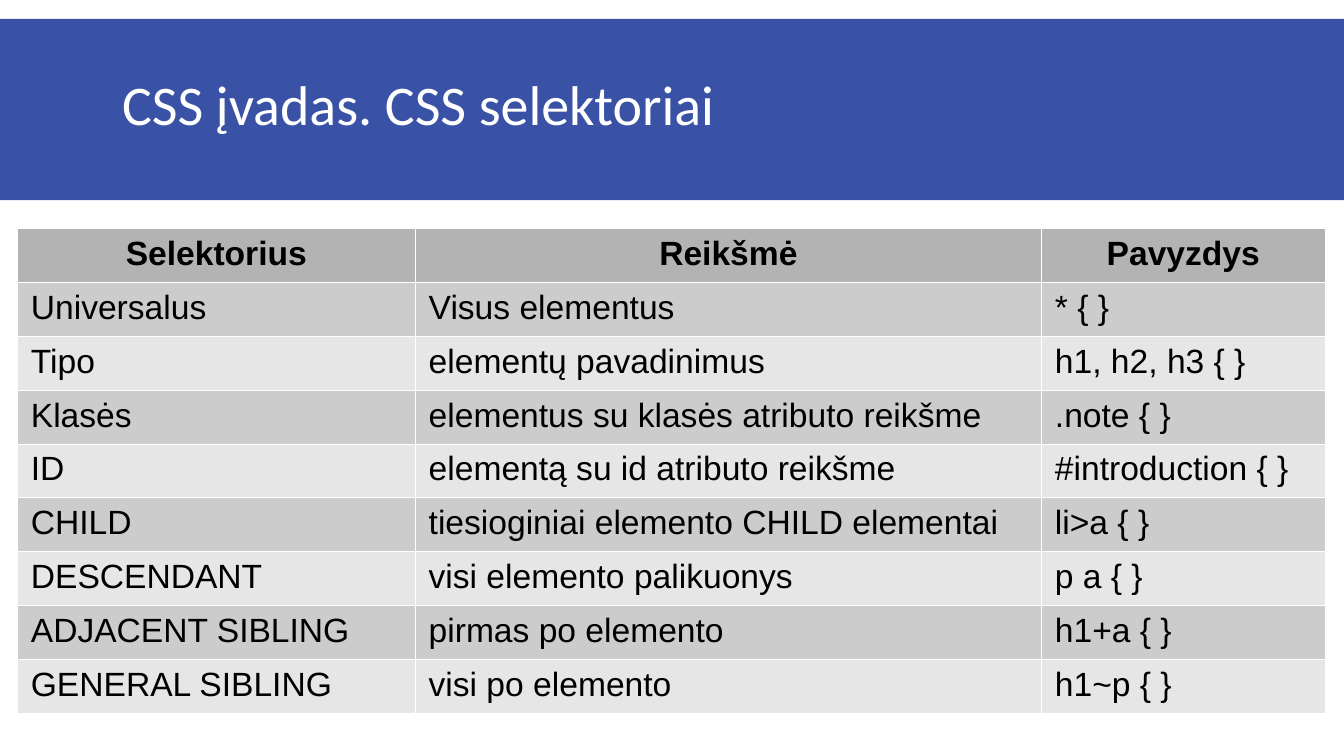
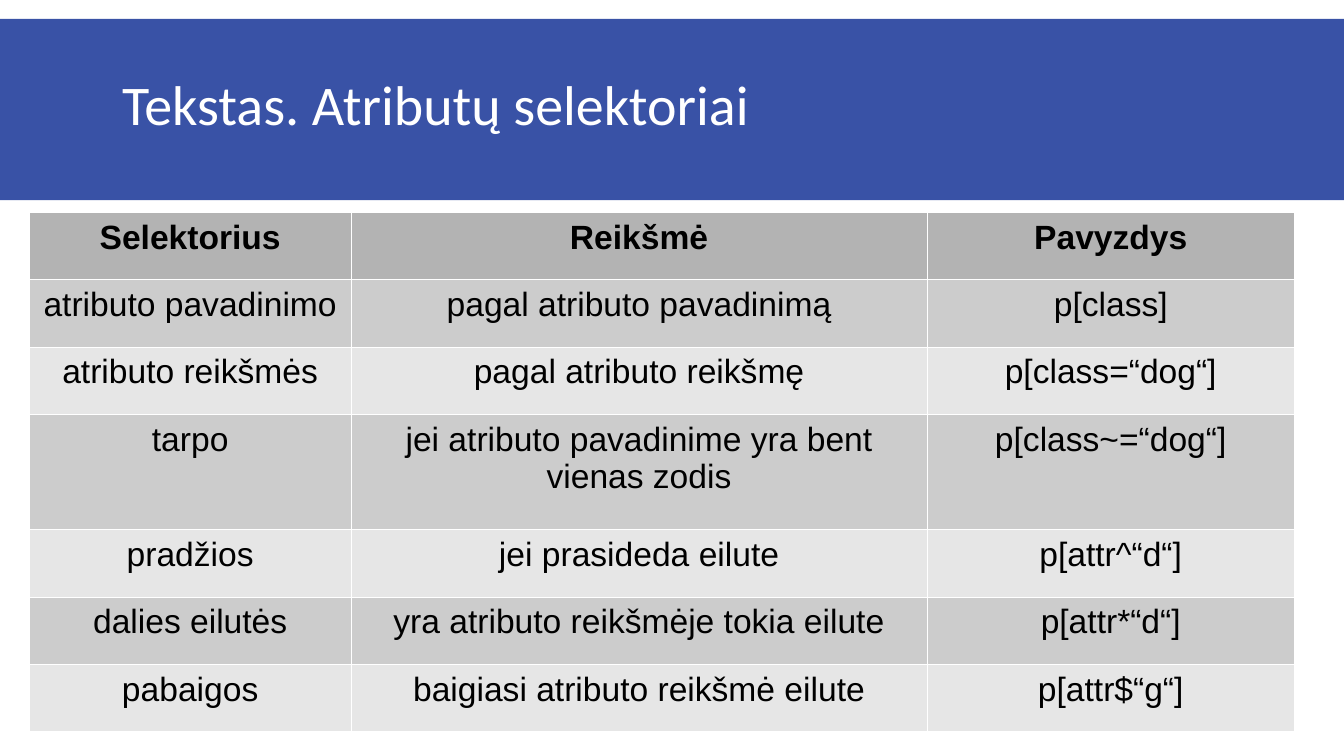
"""Build two slides of CSS selector tables under a shared title band."""
from dataclasses import dataclass

from lxml import etree
from pptx import Presentation
from pptx.dml.color import RGBColor
from pptx.enum.shapes import MSO_SHAPE
from pptx.enum.text import MSO_ANCHOR, PP_ALIGN
from pptx.oxml.ns import qn
from pptx.util import Inches, Pt

RECTANGLE = MSO_SHAPE.RECTANGLE
TOP, MIDDLE = MSO_ANCHOR.TOP, MSO_ANCHOR.MIDDLE
LEFT, CENTER = PP_ALIGN.LEFT, PP_ALIGN.CENTER


@dataclass(frozen=True)
class Theme:
    band: str = "3952A6"
    white: str = "FFFFFF"
    ink: str = "000000"
    header: str = "B3B3B3"
    stripes: tuple = ("CCCCCC", "E6E6E6")
    title_font: str = "Calibri"
    table_font: str = "Arial"
    title_size: int = 30
    table_size: int = 18
    border: float = 0.06


theme = Theme()
deck = Presentation()
deck.slide_width, deck.slide_height = Inches(10), Inches(5.625)
UNIT = deck.slide_width / 100

HEADINGS = ("Selektorius", "Reikšmė", "Pavyzdys")
TOPICS = [
    {
        "title": "CSS įvadas. CSS selektoriai",
        "corner": (1.3, 17),
        "columns": (29.6, 46.6, 21.1),
        "rows": [3.81] * 9,
        "align": LEFT,
        "selectors": [
            ("Universalus", "Visus elementus", "* { }"),
            ("Tipo", "elementų pavadinimus", "h1, h2, h3 { }"),
            ("Klasės", "elementus su klasės atributo reikšme", ".note { }"),
            ("ID", "elementą su id atributo reikšme", "#introduction { }"),
            ("CHILD", "tiesioginiai elemento CHILD elementai", "li>a { }"),
            ("DESCENDANT", "visi elemento palikuonys", "p a { }"),
            ("ADJACENT SIBLING", "pirmas po elemento", "h1+a { }"),
            ("GENERAL SIBLING", "visi po elemento", "h1~p { }"),
        ],
    },
    {
        "title": "Tekstas. Atributų selektoriai",
        "corner": (2.2, 15.8),
        "columns": (23.9, 42.9, 27.3),
        "rows": [5] * 3 + [8.6] + [5] * 3,
        "align": CENTER,
        "selectors": [
            ("atributo pavadinimo", "pagal atributo pavadinimą", "p[class]"),
            ("atributo reikšmės", "pagal atributo reikšmę", "p[class=“dog“]"),
            ("tarpo", "jei atributo pavadinime yra bent vienas zodis", "p[class~=“dog“]"),
            ("pradžios", "jei prasideda eilute", "p[attr^“d“]"),
            ("dalies eilutės", "yra atributo reikšmėje tokia eilute", "p[attr*“d“]"),
            ("pabaigos", "baigiasi atributo reikšmė eilute", "p[attr$“g“]"),
        ],
    },
]


def grid(*steps):
    return [round(step * UNIT) for step in steps]


def write(paragraph, words, font, size, color, bold=False):
    run = paragraph.add_run()
    run.text = words
    run.font.name, run.font.size, run.font.bold = font, Pt(size), bold
    run.font.color.rgb = RGBColor.from_string(color)


for topic in TOPICS:
    slide = deck.slides.add_slide(deck.slide_layouts[6])

    band = slide.shapes.add_shape(RECTANGLE, *grid(0, 1.4, 100, 13.5))
    band.shadow.inherit = False
    band.fill.solid()
    band.fill.fore_color.rgb = RGBColor.from_string(theme.band)
    band.line.fill.background()

    title = slide.shapes.add_textbox(*grid(8.1, 4.9, 93.2, 6.3)).text_frame
    title.word_wrap = True
    title.vertical_anchor = MIDDLE
    title.margin_left, title.margin_right, title.margin_top, title.margin_bottom = grid(1, 1, 1, 1)
    title.paragraphs[0].line_spacing = 0.85
    write(title.paragraphs[0], topic["title"], theme.title_font, theme.title_size, theme.white)

    columns, rows = topic["columns"], topic["rows"]
    selectors = slide.shapes.add_table(
        len(rows), len(columns), *grid(*topic["corner"], sum(columns), sum(rows))
    ).table
    selectors.first_row = selectors.horz_banding = False
    for column, width in zip(selectors.columns, grid(*columns)):
        column.width = width
    for row, height in zip(selectors.rows, grid(*rows)):
        row.height = height

    for r, entry in enumerate([HEADINGS, *topic["selectors"]]):
        is_header = r == 0
        shade = theme.header if is_header else theme.stripes[(r - 1) % 2]
        for c, words in enumerate(entry):
            cell = selectors.cell(r, c)
            cell.vertical_anchor = TOP
            cell.margin_left, cell.margin_right, cell.margin_top, cell.margin_bottom = grid(1, 1, 0.5, 0.5)
            properties = cell._tc.get_or_add_tcPr()
            for side in ("a:lnL", "a:lnR", "a:lnT", "a:lnB"):
                edge = etree.SubElement(properties, qn(side), w=str(Pt(theme.border)))
                paint = etree.SubElement(edge, qn("a:solidFill"))
                etree.SubElement(paint, qn("a:srgbClr"), val=theme.white)
            cell.fill.solid()
            cell.fill.fore_color.rgb = RGBColor.from_string(shade)
            paragraph = cell.text_frame.paragraphs[0]
            paragraph.alignment = CENTER if is_header else topic["align"]
            write(paragraph, words, theme.table_font, theme.table_size, theme.ink, is_header)

deck.save("out.pptx")
